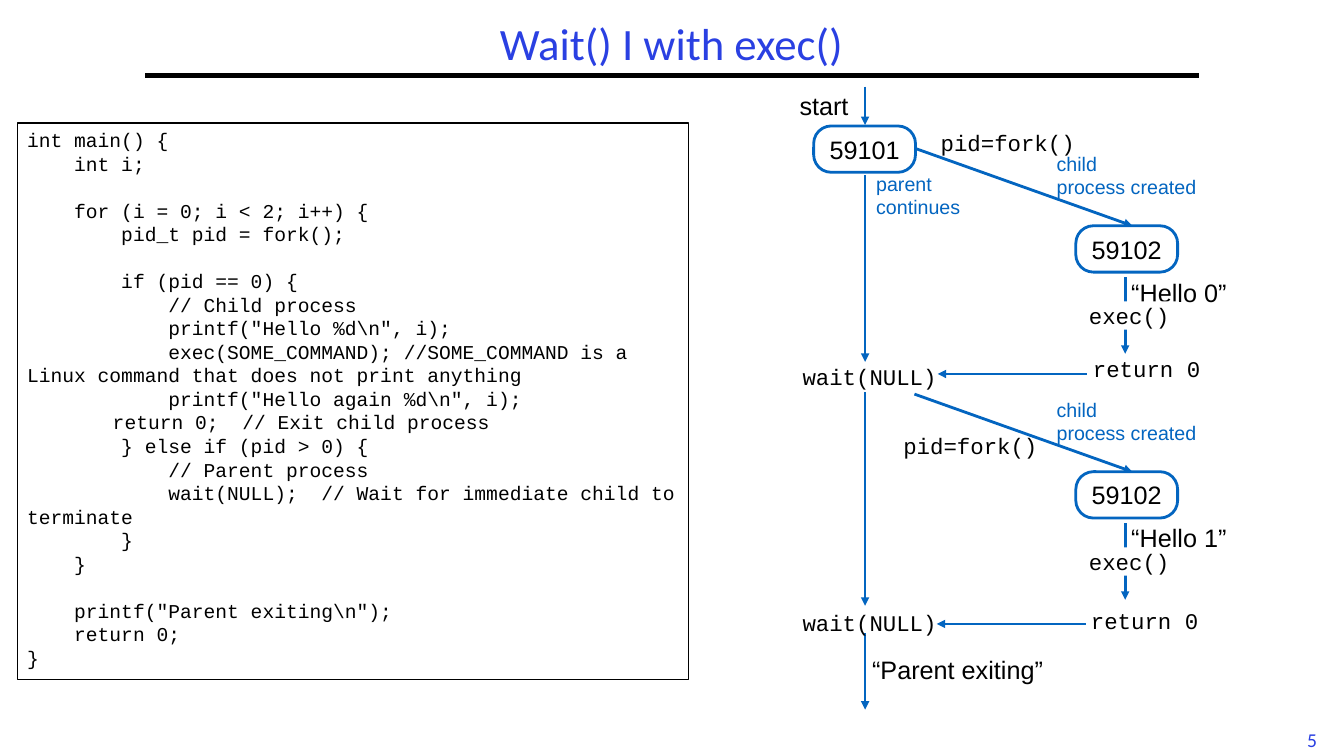
import lxml.etree
import pptx
import pptx.dml.color
import pptx.enum.shapes
import pptx.enum.text
import pptx.oxml.ns
import pptx.util

PX = 9144  # EMU per px, 100 px to the inch
COLORS = {"title": "2A40E2", "flow": "0365C0", "ink": "000000", "paper": "FFFFFF"}
SANS, MONO, HEADING = "Arial", "Courier New", "Calibri"
ALIGN = pptx.enum.text.PP_ALIGN
ANCHOR = pptx.enum.text.MSO_ANCHOR
SHAPE = pptx.enum.shapes.MSO_SHAPE

CODE = """int main() {
    int i;

    for (i = 0; i < 2; i++) {
        pid_t pid = fork();

        if (pid == 0) {
            // Child process
            printf("Hello %d\\n", i);
            exec(SOME_COMMAND); //SOME_COMMAND is a Linux command that does not print anything
            printf("Hello again %d\\n", i);
\t   return 0;  // Exit child process
        } else if (pid > 0) {
            // Parent process
            wait(NULL);  // Wait for immediate child to terminate
        }
    }

    printf("Parent exiting\\n");
    return 0;
}"""

presentation = pptx.Presentation()
presentation.slide_width = 1333 * PX
presentation.slide_height = 750 * PX
slide = presentation.slides.add_slide(presentation.slide_layouts[6])


def rgb(name):
    return pptx.dml.color.RGBColor.from_string(COLORS[name])


def add_text(text, left, top, width, height, size=18, font=SANS, color="ink",
             kind=None, fill=None, line=None, line_width=2, align=ALIGN.LEFT,
             anchor=ANCHOR.TOP, inset=(0, 1), spacing=None, wrap=True):
    box = [length * PX for length in (left, top, width, height)]
    if kind is None:
        shape = slide.shapes.add_textbox(*box)
    else:
        shape = slide.shapes.add_shape(kind, *box)
        shape.shadow.inherit = False
        if fill:
            shape.fill.solid()
            shape.fill.fore_color.rgb = rgb(fill)
        else:
            shape.fill.background()
        if line:
            shape.line.color.rgb = rgb(line)
            shape.line.width = pptx.util.Pt(line_width)
        else:
            shape.line.fill.background()
    frame = shape.text_frame
    frame.word_wrap = wrap
    frame.vertical_anchor = anchor
    frame.margin_left = frame.margin_right = inset[0] * PX
    frame.margin_top = frame.margin_bottom = inset[1] * PX
    for index, row in enumerate(text.split("\n")):
        paragraph = frame.add_paragraph() if index else frame.paragraphs[0]
        paragraph.alignment = align
        if spacing:
            paragraph.line_spacing = spacing
        if row:
            run = paragraph.add_run()
            run.text = row
            run.font.size = pptx.util.Pt(size)
            run.font.name = font
            run.font.color.rgb = rgb(color)
    return shape


def add_line(x1, y1, x2, y2, color="flow", width=2, arrow=True):
    connector = slide.shapes.add_connector(
        pptx.enum.shapes.MSO_CONNECTOR.STRAIGHT, x1 * PX, y1 * PX, x2 * PX, y2 * PX)
    connector.line.color.rgb = rgb(color)
    connector.line.width = pptx.util.Pt(width)
    if arrow:
        lxml.etree.SubElement(connector.line._get_or_add_ln(),
                              pptx.oxml.ns.qn("a:tailEnd"), type="triangle")
    lxml.etree.SubElement(connector._element.spPr, pptx.oxml.ns.qn("a:effectLst"))


# Title, rule and slide number
add_line(144, 75, 1189, 75, color="ink", width=3, arrow=False)
add_text("Wait() I with exec()", 144, 17, 1044, 58, size=32, font=HEADING, color="title",
         align=ALIGN.CENTER, anchor=ANCHOR.MIDDLE, inset=(10, 5), spacing=0.9)
add_text("5", 1280, 717, 43, 33, size=14, font=HEADING, color="title",
         align=ALIGN.CENTER, inset=(10, 5), wrap=False)

# Code listing
add_text(CODE, 17, 122, 666, 552, size=14, font=MONO, kind=SHAPE.RECTANGLE, line="ink",
         line_width=0.75, inset=(10, 5), spacing=pptx.util.Pt(16.8))

# Parent time line
add_text("start", 793, 89, 60, 33)
for start, end in [(86, 124), (174, 359), (389, 601), (628, 704)]:
    add_line(858, start, 858, end)
add_text("parent continues", 869, 171, 92, 48, size=14, color="flow",
         spacing=pptx.util.Pt(16))
add_text("“Parent exiting”", 865, 648, 180, 32)

# One child per loop round
rounds = [
    # drop, fork label, greeting, greeting top, return label, return arrow
    (0, (933, 127), "“Hello 0”", 274, (1084, 351), (1078, 371)),
    (244, (896, 428), "“Hello 1”", 517, (1082, 601), (1077, 619)),
]
process_boxes = [("59101", 807, 125)]
for drop, fork, greeting, greeting_top, returned, arrow_start in rounds:
    add_line(907, 147 + drop, 1123, 224 + drop)
    add_line(1116, 275 + drop, 1116, 351 + drop)
    add_line(*arrow_start, arrow_start[0] - 148, arrow_start[1])
    add_text("child\nprocess created", 1048, 150 + drop, 150, 48, size=14, color="flow",
             spacing=pptx.util.Pt(16.4))
    add_text("pid=fork()", *fork, 150, 28, size=16, font=MONO)
    add_text(greeting, 1122, greeting_top, 110, 32)
    add_text("exec()", 1080, 299 + drop, 89, 28, size=16, font=MONO,
             kind=SHAPE.RECTANGLE, fill="paper")
    add_text("return 0", *returned, 115, 28, size=16, font=MONO)
    add_text("wait(NULL)", 796, 359 + drop, 147, 29, size=16, font=MONO)
    process_boxes.append(("59102", 1067, 224 + drop))

# Process boxes
for process, left, top in process_boxes:
    process_box = add_text(process, left, top, 101, 46, kind=SHAPE.ROUNDED_RECTANGLE,
                           line="flow", align=ALIGN.CENTER, anchor=ANCHOR.MIDDLE)
    process_box.adjustments[0] = 0.38

presentation.save("out.pptx")
